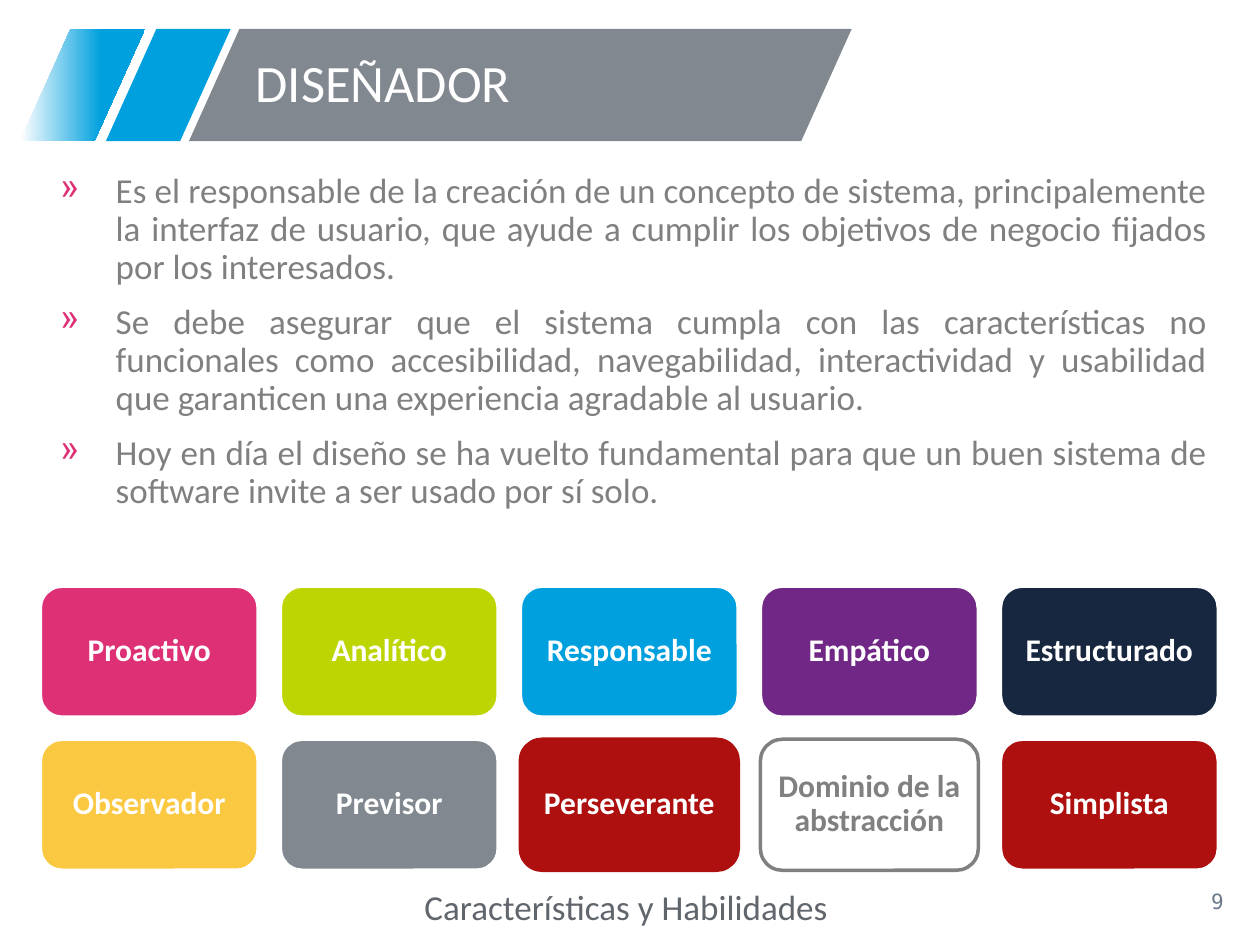
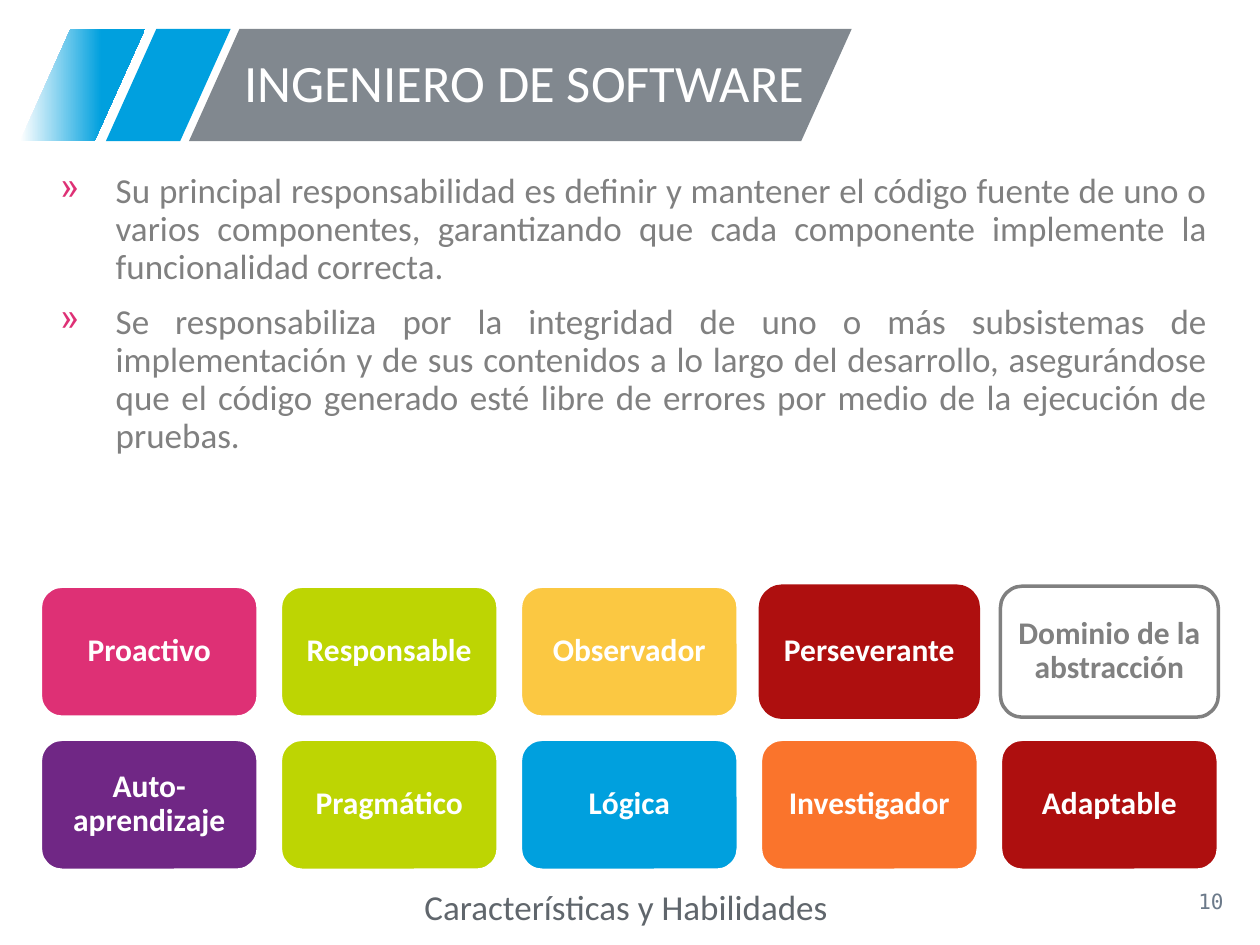
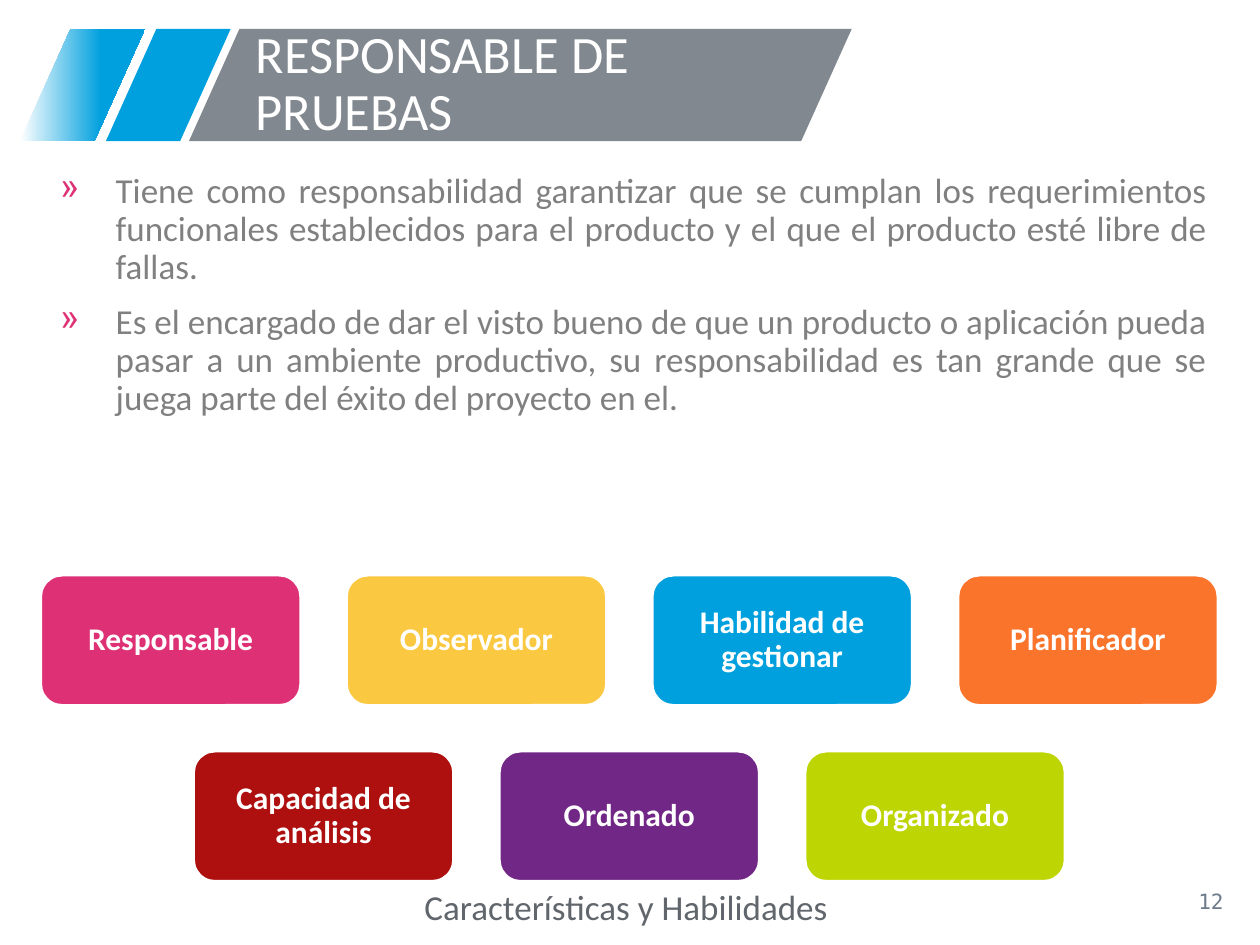
import pptx
import pptx.dml.color
import pptx.enum.shapes
import pptx.enum.text
import pptx.oxml
import pptx.oxml.ns
import pptx.util

Inches = pptx.util.Inches
Pt = pptx.util.Pt
RGBColor = pptx.dml.color.RGBColor
SHAPE = pptx.enum.shapes.MSO_SHAPE
ALIGN = pptx.enum.text.PP_ALIGN
ANCHOR = pptx.enum.text.MSO_ANCHOR

# Shared colours and fonts
WHITE = RGBColor(0xFF, 0xFF, 0xFF)
BAND_BLUE = RGBColor(0x00, 0xA0, 0xDF)
BLUE = RGBColor(0x00, 0xA0, 0xDE)
SLATE = RGBColor(0x81, 0x88, 0x8F)
PINK = RGBColor(0xDE, 0x30, 0x75)
LIME = RGBColor(0xBD, 0xD5, 0x03)
PURPLE = RGBColor(0x70, 0x27, 0x85)
NAVY = RGBColor(0x17, 0x27, 0x40)
YELLOW = RGBColor(0xFB, 0xC8, 0x42)
RED = RGBColor(0xAE, 0x0F, 0x0F)
ORANGE = RGBColor(0xFA, 0x74, 0x2C)
BODY_GRAY = RGBColor(0x80, 0x80, 0x80)
CAPTION_GRAY = RGBColor(0x60, 0x66, 0x6C)
NUMBER_GRAY = RGBColor(0x6C, 0x7A, 0x8A)
FONT = "Calibri"
NUMBER_FONT = "DejaVu Sans Mono"

# Shared layout, in inches
BAND_TOP, BAND_HEIGHT, BAND_SLANT = 0.23, 0.89, 0.45
BANDS = [(0.84, 0.99, BAND_BLUE), (0.16, 0.99, None), (1.5, 5.26, SLATE)]
GRID_LEFT, GRID_WIDTH, GRID_MIDDLE = 0.32, 9.35, 5.78
CARD_HEIGHT, CARD_INSET = 1.04, 0.07
CARD_OUTLINES = {"Perseverante": RED, "Dominio de la abstracción": BODY_GRAY}

# Content of the slides; each card is a label and a fill
ROLES = [
    {
        "title": "DISEÑADOR", "title_left": 1.93, "number": "9", "card_width": 1.73,
        "duties": [
            "Es el responsable de la creación de un concepto de sistema, principalemente la interfaz "
            "de usuario, que ayude a cumplir los objetivos de negocio fijados por los interesados.",
            "Se debe asegurar que el sistema cumpla con las características no funcionales como "
            "accesibilidad, navegabilidad, interactividad y usabilidad que garanticen una "
            "experiencia agradable al usuario.",
            "Hoy en día el diseño se ha vuelto fundamental para que un buen sistema de software "
            "invite a ser usado por sí solo.",
        ],
        "skills": [
            [("Proactivo", PINK), ("Analítico", LIME), ("Responsable", BLUE),
             ("Empático", PURPLE), ("Estructurado", NAVY)],
            [("Observador", YELLOW), ("Previsor", SLATE), ("Perseverante", RED),
             ("Dominio de la abstracción", WHITE), ("Simplista", RED)],
        ],
    },
    {
        "title": "INGENIERO DE SOFTWARE", "title_left": 1.84, "number": "10", "card_width": 1.73,
        "duties": [
            "Su principal responsabilidad es definir y mantener el código fuente de uno o varios "
            "componentes, garantizando que cada componente implemente la funcionalidad correcta.",
            "Se responsabiliza por la integridad de uno o más subsistemas de implementación y de sus "
            "contenidos a lo largo del desarrollo, asegurándose que el código generado esté libre de "
            "errores por medio de la ejecución de pruebas.",
        ],
        "skills": [
            [("Proactivo", PINK), ("Responsable", LIME), ("Observador", YELLOW),
             ("Perseverante", RED), ("Dominio de la abstracción", WHITE)],
            [("Auto-aprendizaje", PURPLE), ("Pragmático", LIME), ("Lógica", BLUE),
             ("Investigador", ORANGE), ("Adaptable", RED)],
        ],
    },
    {
        "title": "RESPONSABLE DE PRUEBAS", "title_left": 1.93, "number": "12", "card_width": 2.07,
        "duties": [
            "Tiene como responsabilidad garantizar que se cumplan los requerimientos funcionales "
            "establecidos para el producto y el que el producto esté libre de fallas.",
            "Es el encargado de dar el visto bueno de que un producto o aplicación pueda pasar a un "
            "ambiente productivo, su responsabilidad es tan grande que se juega parte del éxito del "
            "proyecto en el.",
        ],
        "skills": [
            [("Responsable", PINK), ("Observador", YELLOW), ("Habilidad de gestionar", BLUE),
             ("Planificador", ORANGE)],
            [("Capacidad de análisis", RED), ("Ordenado", PURPLE), ("Organizado", LIME)],
        ],
    },
]


def add_span(para, text, size, color, font=FONT, bold=False):
    span = para.add_run()
    span.text = text
    span.font.name = font
    span.font.size = Pt(size)
    span.font.bold = bold
    span.font.color.rgb = color


def add_box(page, left, top, width, height, anchor=ANCHOR.TOP, wrap=True):
    box = page.shapes.add_textbox(Inches(left), Inches(top), Inches(width), Inches(height))
    box.text_frame.word_wrap = wrap
    box.text_frame.vertical_anchor = anchor
    return box.text_frame


deck = pptx.Presentation()
deck.slide_width = Inches(10)
deck.slide_height = Inches(7.5)

for role in ROLES:
    page = deck.slides.add_slide(deck.slide_layouts[6])

    # Slanted title bands; the one without a colour fades in from white
    for left, width, color in BANDS:
        band = page.shapes.add_shape(SHAPE.PARALLELOGRAM, Inches(left), Inches(BAND_TOP),
                                     Inches(width), Inches(BAND_HEIGHT))
        band.adjustments[0] = BAND_SLANT
        band.shadow.inherit = False
        band.line.fill.background()
        if color:
            band.fill.solid()
            band.fill.fore_color.rgb = color
        else:
            band.fill.gradient()
            band.fill.gradient_angle = 0
            start, end = band.fill.gradient_stops
            start.color.rgb, start.position = WHITE, 0
            end.color.rgb, end.position = BLUE, 0.65

    # Page number
    para = add_box(page, 7.56, 6.95, 2.25, 0.4, ANCHOR.MIDDLE).paragraphs[0]
    para.alignment = ALIGN.RIGHT
    add_span(para, role["number"], 12, NUMBER_GRAY, NUMBER_FONT)

    # Duties of the role
    frame = add_box(page, 0.32, 1.33, 9.36, 1.86)
    for index, duty in enumerate(role["duties"]):
        para = frame.add_paragraph() if index else frame.paragraphs[0]
        para.alignment = ALIGN.JUSTIFY
        para.line_spacing = 0.9
        if index:
            para.space_before = Pt(10)
        properties = para._p.get_or_add_pPr()
        properties.set("marL", str(Inches(0.5)))
        properties.set("indent", str(Inches(-0.44)))
        namespace = pptx.oxml.ns.nsdecls("a")
        properties.append(pptx.oxml.parse_xml(
            f'<a:buClr {namespace}><a:srgbClr val="{PINK}"/></a:buClr>'))
        properties.append(pptx.oxml.parse_xml(f'<a:buChar {namespace} char="»"/>'))
        add_span(para, duty, 20, BODY_GRAY)

    # Title
    para = add_box(page, role["title_left"], BAND_TOP, 4.69, BAND_HEIGHT,
                   ANCHOR.MIDDLE).paragraphs[0]
    para.line_spacing = 0.9
    add_span(para, role["title"], 30, WHITE)

    # Skill cards: the first row fills the grid, a shorter row is centred
    card_width = role["card_width"]
    columns = len(role["skills"][0])
    gap = (GRID_WIDTH - columns * card_width) / (columns - 1)
    grid_top = GRID_MIDDLE - CARD_HEIGHT - gap / 2
    for row, skills in enumerate(role["skills"]):
        row_left = GRID_LEFT + (columns - len(skills)) * (card_width + gap) / 2
        for column, (skill, color) in enumerate(skills):
            card = page.shapes.add_shape(
                SHAPE.ROUNDED_RECTANGLE,
                Inches(row_left + column * (card_width + gap)),
                Inches(grid_top + row * (CARD_HEIGHT + gap)),
                Inches(card_width), Inches(CARD_HEIGHT))
            card.shadow.inherit = False
            card.fill.solid()
            card.fill.fore_color.rgb = color
            card.line.color.rgb = CARD_OUTLINES.get(skill, WHITE)
            card.line.width = Pt(2)
            frame = card.text_frame
            frame.word_wrap = True
            frame.vertical_anchor = ANCHOR.MIDDLE
            frame.margin_left = frame.margin_right = Inches(CARD_INSET)
            frame.margin_top = frame.margin_bottom = Inches(CARD_INSET)
            para = frame.paragraphs[0]
            para.alignment = ALIGN.CENTER
            para.line_spacing = 0.9
            add_span(para, skill, 18, BODY_GRAY if color == WHITE else WHITE, bold=True)

    # Caption under the cards
    para = add_box(page, 3.27, 6.98, 3.46, 0.44, wrap=False).paragraphs[0]
    add_span(para, "Características y Habilidades", 20, CAPTION_GRAY)

deck.save("out.pptx")
